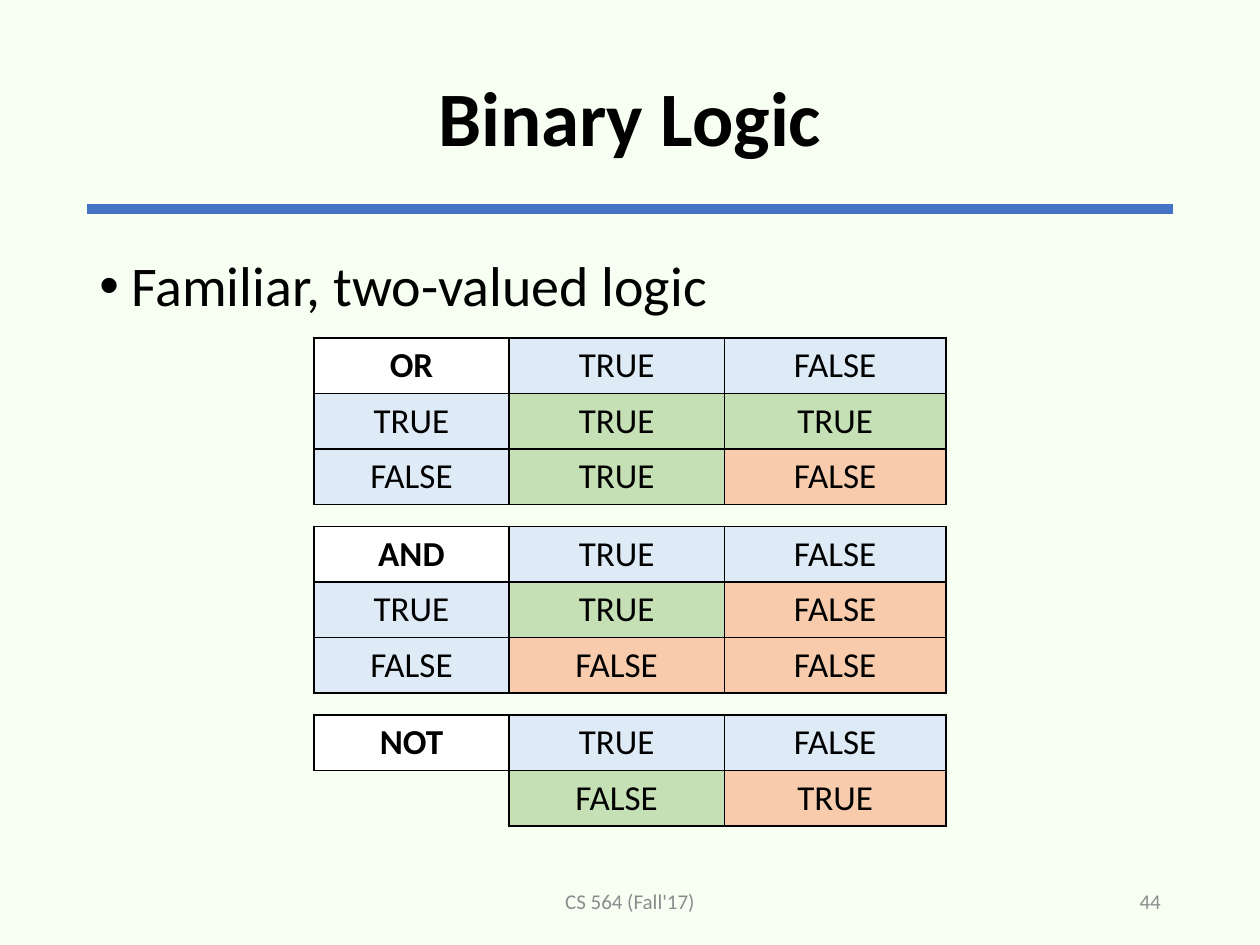
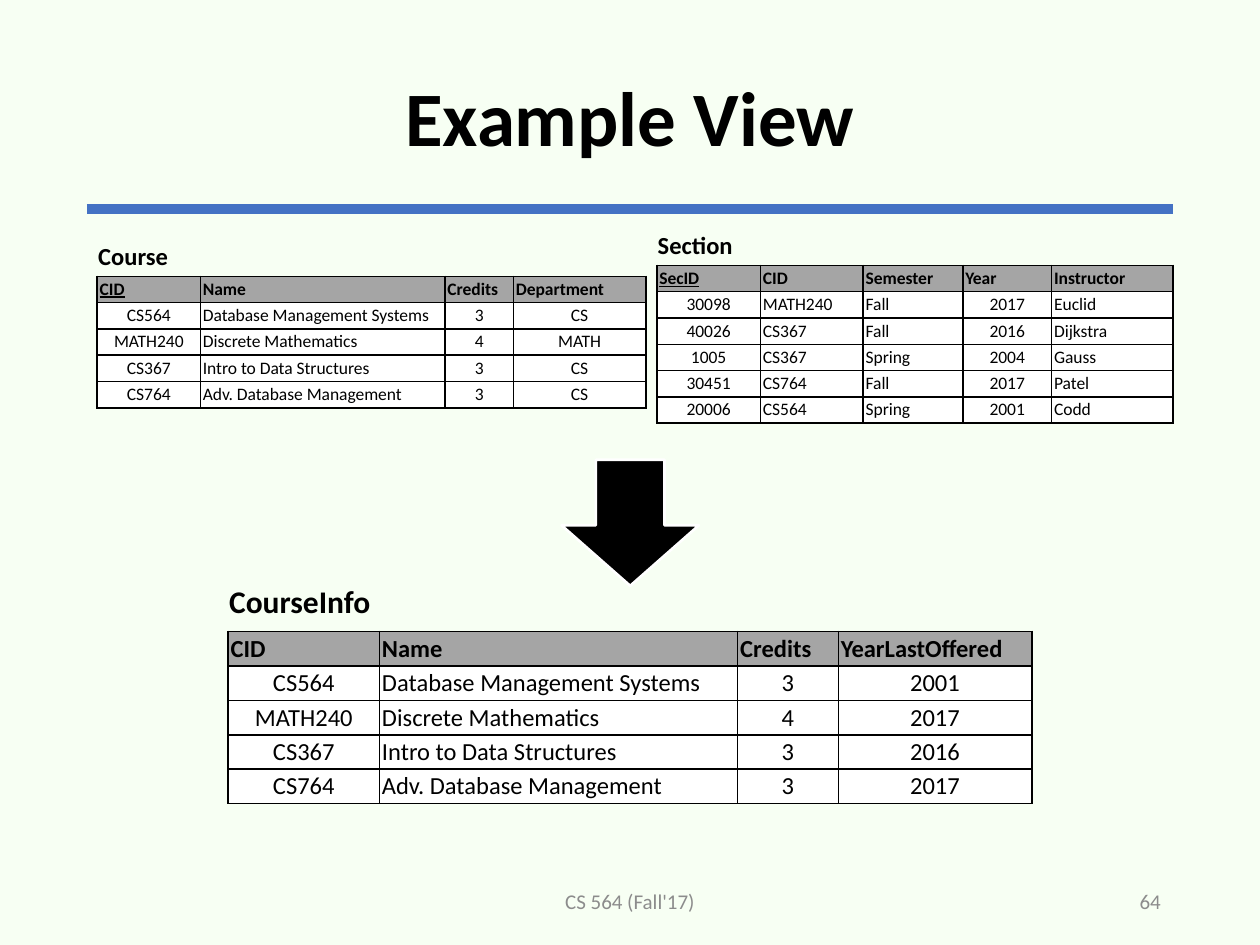
from dataclasses import dataclass

from lxml.etree import SubElement
from pptx import Presentation
from pptx.dml.color import RGBColor
from pptx.enum.shapes import MSO_CONNECTOR, MSO_SHAPE
from pptx.enum.text import MSO_ANCHOR, MSO_AUTO_SIZE, PP_ALIGN
from pptx.oxml.ns import qn
from pptx.util import Cm, Pt


@dataclass(frozen=True)
class Theme:
    font: str = "Calibri"
    background: str = "F7FFF3"
    ink: str = "000000"
    white: str = "FFFFFF"
    rule: str = "4472C4"
    footer: str = "8C8C8C"
    header: str = "A5A5A5"
    operand: str = "DEEBF7"
    green: str = "C5E0B4"
    orange: str = "F8CBAD"
    title_size: int = 44
    body_size: int = 32
    truth_size: int = 20
    view_label_size: int = 18
    view_size: int = 14
    base_label_size: int = 14
    base_size: int = 10
    footer_size: int = 12


THEME = Theme()
FOOTER = "CS 564 (Fall'17)"
SIDE = Cm(1.75)
WIDTH = Cm(21.9)
ALIGNMENTS = {"l": PP_ALIGN.LEFT, "c": PP_ALIGN.CENTER, "r": PP_ALIGN.RIGHT}


# Text helpers
def style_text(frame, size, color=THEME.ink, bold=False, align="l", underline=False):
    for para in frame.paragraphs:
        para.alignment = ALIGNMENTS[align]
        for span in para.runs:
            span.font.name = THEME.font
            span.font.size = Pt(size)
            span.font.bold = bold
            span.font.underline = underline
            span.font.color.rgb = RGBColor.from_string(color)


def place(shape, left, top, width, height):
    shape.left, shape.top, shape.width, shape.height = left, top, width, height


def add_text(page, text, left, top, width, height, size, **style):
    box = page.shapes.add_textbox(Cm(left), Cm(top), Cm(width), Cm(height))
    frame = box.text_frame
    frame.word_wrap = True
    frame.text = text
    style_text(frame, size, **style)
    return frame


def add_label(page, text, left, top, width, height, size):
    frame = add_text(page, text, left, top, width, height, size, bold=True)
    frame.word_wrap = False
    frame.auto_size = MSO_AUTO_SIZE.SHAPE_TO_FIT_TEXT


# Parts shared by all slides
def add_page(deck, layout, title, number):
    page = deck.slides.add_slide(deck.slide_layouts[layout])
    line = page.shapes.add_connector(
        MSO_CONNECTOR.STRAIGHT, SIDE, Cm(4.21), SIDE + WIDTH, Cm(4.21))
    line.line.color.rgb = RGBColor.from_string(THEME.rule)
    line.line.width = Pt(6)
    SubElement(line._element.spPr, qn("a:effectLst"))

    heading = page.shapes.title
    place(heading, SIDE, Cm(0.61), WIDTH, Cm(3.68))
    frame = heading.text_frame
    frame.text = title
    frame.auto_size = MSO_AUTO_SIZE.NONE
    frame.vertical_anchor = MSO_ANCHOR.MIDDLE
    frame.paragraphs[0].line_spacing = 0.9
    style_text(frame, THEME.title_size, bold=True, align="c")

    for text, left, width, align in ((FOOTER, 8.41, 8.58, "c"), (number, 17.93, 5.72, "r")):
        footer = add_text(page, text, left, 17.65, width, 1.02,
                          THEME.footer_size, color=THEME.footer, align=align)
        footer.vertical_anchor = MSO_ANCHOR.MIDDLE
    return page


def add_bullet(page, text):
    body = page.placeholders[1]
    place(body, SIDE, Cm(5.08), WIDTH, Cm(12.09))
    frame = body.text_frame
    frame.text = text
    frame.auto_size = MSO_AUTO_SIZE.NONE
    para = frame.paragraphs[0]
    para.line_spacing = 0.9
    para.space_before = Pt(0)
    properties = para._p.get_or_add_pPr()
    properties.set("marL", str(Cm(0.64)))
    properties.set("indent", str(-Cm(0.64)))
    SubElement(properties, qn("a:buChar"), char="•")
    style_text(frame, THEME.body_size)


# Tables
def set_borders(cell, visible="LRTB"):
    properties = cell._tc.get_or_add_tcPr()
    for side in "LRTB":
        line = SubElement(properties, qn(f"a:ln{side}"), w=str(Pt(1)))
        if side in visible:
            fill = SubElement(line, qn("a:solidFill"))
            SubElement(fill, qn("a:srgbClr"), val=THEME.ink)
        else:
            SubElement(line, qn("a:noFill"))


def fill_cell(cell, text, fill, size, **style):
    set_borders(cell)
    cell.fill.solid()
    cell.fill.fore_color.rgb = RGBColor.from_string(fill)
    cell.text_frame.text = text
    style_text(cell.text_frame, size, **style)


def add_grid(page, left, top, widths, row_height, row_count):
    grid = page.shapes.add_table(row_count, len(widths), Cm(left), Cm(top),
                                 Cm(sum(widths)), Cm(row_height * row_count)).table
    grid.first_row = grid.horz_banding = False
    for column, width in zip(grid.columns, widths):
        column.width = Cm(width)
    for row in grid.rows:
        row.height = Cm(row_height)
    return grid


def add_truth_table(page, top, rows, true_fill=THEME.green, false_fill=THEME.orange):
    """Operands run along the first row and column; None leaves a cell open."""
    grid = add_grid(page, 6.33, top, (3.93, 4.34, 4.47), 1.12, len(rows))
    for i, row in enumerate(rows):
        for j, text in enumerate(row):
            cell = grid.cell(i, j)
            cell.vertical_anchor = MSO_ANCHOR.MIDDLE
            if text is None:
                set_borders(cell, "TR")
                cell.fill.background()
                continue
            corner = i == j == 0
            if corner:
                fill = THEME.white
            elif i == 0 or j == 0:
                fill = THEME.operand
            else:
                fill = true_fill if text == "TRUE" else false_fill
            fill_cell(cell, text, fill, THEME.truth_size, bold=corner, align="c")


def add_data_table(page, left, top, widths, row_height, size, aligns, rows, key=None):
    grid = add_grid(page, left, top, widths, row_height, len(rows))
    for i, row in enumerate(rows):
        for j, text in enumerate(row):
            cell = grid.cell(i, j)
            cell.margin_left = cell.margin_right = Cm(0.05)
            cell.margin_top = cell.margin_bottom = Cm(0.05)
            if i == 0:
                fill_cell(cell, text, THEME.header, size, bold=True, underline=text == key)
            else:
                fill_cell(cell, text, THEME.white, size, align=aligns[j])


def add_down_arrow(page):
    arrow = page.shapes.add_shape(MSO_SHAPE.DOWN_ARROW, Cm(11.32), Cm(9.27), Cm(2.77), Cm(2.54))
    arrow.adjustments[1] = 0.48
    arrow.shadow.inherit = False
    arrow.fill.solid()
    arrow.fill.fore_color.rgb = RGBColor.from_string(THEME.ink)
    arrow.line.color.rgb = RGBColor.from_string(THEME.white)
    arrow.line.width = Pt(1.5)


# Slides
def build_logic(deck):
    page = add_page(deck, 1, "Binary Logic", "44")
    add_bullet(page, "Familiar, two-valued logic")
    first_top, step = 6.81, 3.8
    add_truth_table(page, first_top, [
        ("OR", "TRUE", "FALSE"),
        ("TRUE", "TRUE", "TRUE"),
        ("FALSE", "TRUE", "FALSE"),
    ])
    add_truth_table(page, first_top + step, [
        ("AND", "TRUE", "FALSE"),
        ("TRUE", "TRUE", "FALSE"),
        ("FALSE", "FALSE", "FALSE"),
    ])
    add_truth_table(page, first_top + 2 * step, [
        ("NOT", "TRUE", "FALSE"),
        (None, "FALSE", "TRUE"),
    ], true_fill=THEME.orange, false_fill=THEME.green)


def build_view(deck):
    page = add_page(deck, 5, "Example View", "64")
    courses = [
        ("CS564", "Database Management Systems", "3", "CS", "2001"),
        ("MATH240", "Discrete Mathematics", "4", "MATH", "2017"),
        ("CS367", "Intro to Data Structures", "3", "CS", "2016"),
        ("CS764", "Adv. Database Management", "3", "CS", "2017"),
    ]
    sections = [
        ("SecID", "CID", "Semester", "Year", "Instructor"),
        ("30098", "MATH240", "Fall", "2017", "Euclid"),
        ("40026", "CS367", "Fall", "2016", "Dijkstra"),
        ("1005", "CS367", "Spring", "2004", "Gauss"),
        ("30451", "CS764", "Fall", "2017", "Patel"),
        ("20006", "CS564", "Spring", "2001", "Codd"),
    ]
    course_rows = [("CID", "Name", "Credits", "Department")]
    course_rows += [course[:4] for course in courses]
    info_rows = [("CID", "Name", "Credits", "YearLastOffered")]
    info_rows += [course[:3] + course[4:] for course in courses]

    # Base tables
    add_label(page, "Course", 1.73, 4.73, 2.11, 0.86, THEME.base_label_size)
    add_data_table(page, 1.96, 5.57, (2.08, 4.93, 1.38, 2.67), 0.53, THEME.base_size,
                   "clcc", course_rows, key="CID")
    add_label(page, "Section", 13.01, 4.52, 2.16, 0.86, THEME.base_label_size)
    add_data_table(page, 13.24, 5.35, (2.09, 2.07, 2.01, 1.79, 2.45), 0.53, THEME.base_size,
                   "cllcl", sections, key="SecID")

    # Resulting view
    add_down_arrow(page)
    add_label(page, "CourseInfo", 4.37, 11.6, 3.78, 1.02, THEME.view_label_size)
    add_data_table(page, 4.6, 12.73, (3.05, 7.22, 2.03, 3.9), 0.69, THEME.view_size,
                   "clcc", info_rows)


def main():
    deck = Presentation()
    deck.slide_width, deck.slide_height = Cm(25.4), Cm(19.05)
    backdrop = deck.slide_master.background.fill
    backdrop.solid()
    backdrop.fore_color.rgb = RGBColor.from_string(THEME.background)
    build_logic(deck)
    build_view(deck)
    deck.save("out.pptx")


if __name__ == "__main__":
    main()
